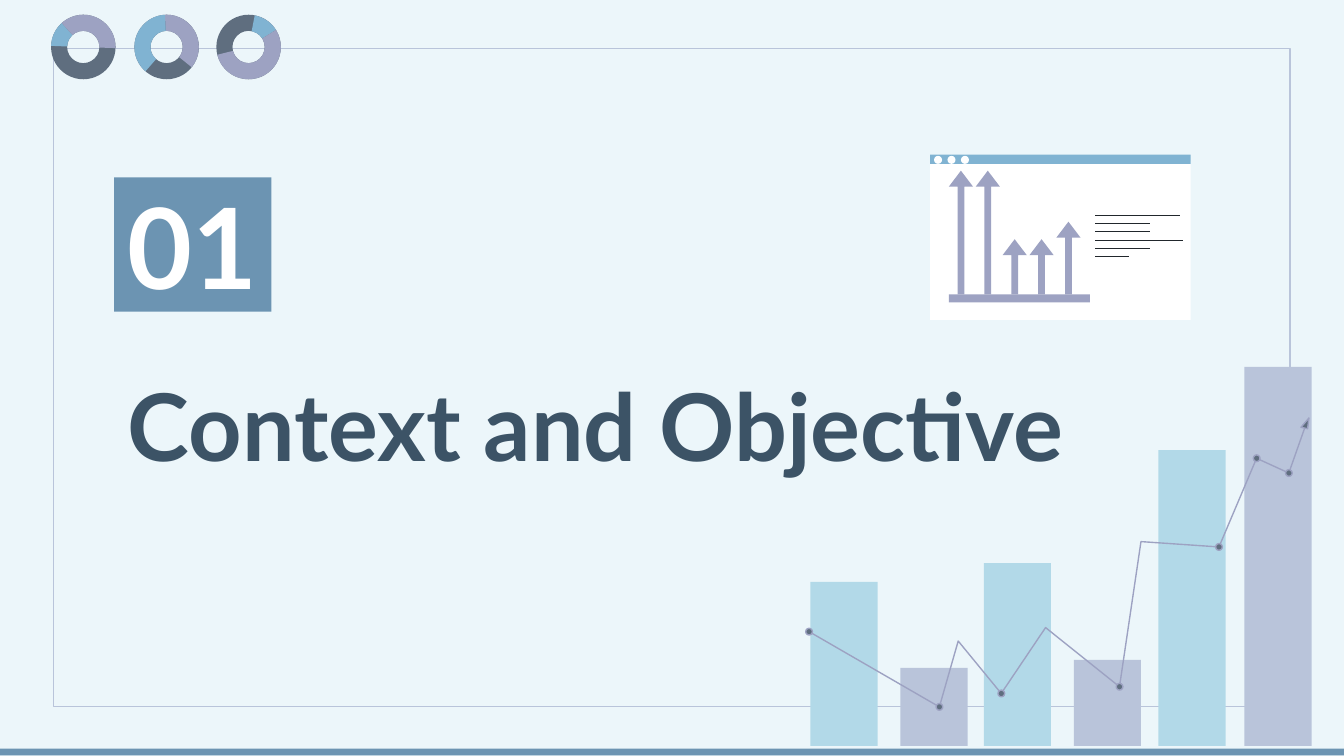
from typing import NamedTuple

import pptx
import pptx.dml.color
import pptx.enum.shapes
import pptx.enum.text
import pptx.oxml
import pptx.oxml.ns
import pptx.util

Inches = pptx.util.Inches
Pt = pptx.util.Pt
Shape = pptx.enum.shapes.MSO_SHAPE

FONT = "Lato"
PALE, WHITE, INK = "ECF6FA", "FFFFFF", "21272C"
STEEL, NAVY, SLATE = "6C94B2", "3C5366", "5F6E7F"
SKY, AQUA, LILAC, MAUVE = "80B3D2", "B2D9E8", "B9C4DA", "9DA2C2"


class Sector(NamedTuple):
    start: float  # degrees clockwise from three o'clock
    end: float
    color: str


class Ring(NamedTuple):
    left: float
    sectors: tuple[Sector, ...]


class Bar(NamedTuple):
    left: float
    top: float
    color: str


RINGS = [
    Ring(0.38, (Sector(182, 228, SKY), Sector(228, 2, MAUVE))),
    Ring(1.00, (Sector(267, 39, MAUVE), Sector(131, 267, SKY))),
    Ring(1.61, (Sector(281, 328, SKY), Sector(328, 166, MAUVE))),
]
BARS = [
    Bar(6.03, 4.33, AQUA),
    Bar(6.70, 4.97, LILAC),
    Bar(7.32, 4.19, AQUA),
    Bar(7.99, 4.91, LILAC),
    Bar(8.62, 3.35, AQUA),
    Bar(9.26, 2.73, LILAC),
]
BAR_WIDTH, BAR_BASE = 0.5, 5.55
TREND = [(6.02, 4.7), (6.99, 5.26), (7.13, 4.77), (7.45, 5.16), (7.78, 4.67), (8.33, 5.11),
         (8.49, 4.03), (9.07, 4.07), (9.35, 3.41), (9.59, 3.52), (9.72, 3.15)]
MARKED = (0, 1, 3, 5, 7, 8, 9)
TREND_TIP = [(9.74, 3.11), (9.68, 3.18), (9.73, 3.19)]
ARROW_TOPS = [1.27, 1.27, 1.78, 1.78, 1.65]
ARROW_BASE = 2.19
RULE_WIDTHS = [0.63, 0.41, 0.41, 0.65, 0.41, 0.25]
RULES_TOP, RULES_BOTTOM = 1.6, 1.91


def rgb(color: str):
    return pptx.dml.color.RGBColor.from_string(color)


def paint(shape, fill: str | None, line: str | None = None) -> None:
    shape.shadow.inherit = False
    if fill:
        shape.fill.solid()
        shape.fill.fore_color.rgb = rgb(fill)
    else:
        shape.fill.background()
    if line:
        shape.line.color.rgb = rgb(line)
        shape.line.width = Pt(0.75)
    else:
        shape.line.fill.background()


def add_preset(slide, kind, left: float, top: float, width: float, height: float,
               fill: str | None, line: str | None = None):
    shape = slide.shapes.add_shape(kind, Inches(left), Inches(top), Inches(width), Inches(height))
    paint(shape, fill, line)
    return shape


def add_path(slide, points: list[tuple[float, float]], closed: bool,
             fill: str | None, line: str) -> None:
    corners = [(Inches(x), Inches(y)) for x, y in points]
    builder = slide.shapes.build_freeform(*corners[0])
    builder.add_line_segments(corners[1:], close=closed)
    paint(builder.convert_to_shape(), fill, line)


def add_rule(slide, left: float, top: float, width: float) -> None:
    rule = slide.shapes.add_connector(
        pptx.enum.shapes.MSO_CONNECTOR.STRAIGHT,
        Inches(left), Inches(top), Inches(left + width), Inches(top))
    rule.line.color.rgb = rgb(INK)
    rule.line.width = Pt(0.5)
    properties = rule._element.spPr
    properties.append(pptx.oxml.parse_xml(f"<a:effectLst {pptx.oxml.ns.nsdecls('a')}/>"))


def set_text(shape, text: str, size: float, color: str, align, anchor, wrap: bool) -> None:
    frame = shape.text_frame
    frame.text = text
    frame.word_wrap = wrap
    frame.auto_size = pptx.enum.text.MSO_AUTO_SIZE.NONE
    frame.vertical_anchor = anchor
    frame.margin_left = frame.margin_right = Inches(0.1)
    frame.margin_top = frame.margin_bottom = Inches(0.1)
    paragraph = frame.paragraphs[0]
    paragraph.alignment = align
    font = paragraph.runs[0].font
    font.name, font.size, font.bold = FONT, Pt(size), True
    font.color.rgb = rgb(color)


def add_ring(slide, ring: Ring) -> None:
    box = (ring.left, 0.11, 0.48, 0.48)
    add_preset(slide, Shape.DONUT, *box, SLATE).adjustments[0] = 0.25
    for sector in ring.sectors:
        arc = add_preset(slide, Shape.BLOCK_ARC, *box, sector.color)
        # Angles are stored in 1/60000 degree, adjustments in 1/100000.
        arc.adjustments[0] = sector.start * 0.6
        arc.adjustments[1] = sector.end * 0.6
        arc.adjustments[2] = 0.25


def add_trend_chart(slide) -> None:
    for bar in BARS:
        add_preset(slide, Shape.RECTANGLE, bar.left, bar.top, BAR_WIDTH, BAR_BASE - bar.top, bar.color)
    add_path(slide, TREND, False, None, MAUVE)
    for index in MARKED:
        x, y = TREND[index]
        add_preset(slide, Shape.OVAL, x - 0.025, y - 0.025, 0.05, 0.05, SLATE, MAUVE)
    add_path(slide, TREND_TIP, True, SLATE, MAUVE)


def add_browser_window(slide) -> None:
    add_preset(slide, Shape.RECTANGLE, 6.92, 1.2, 1.94, 1.18, WHITE)
    add_preset(slide, Shape.RECTANGLE, 6.92, 1.15, 1.94, 0.07, SKY)
    for column in range(3):
        add_preset(slide, Shape.OVAL, 6.95 + 0.1 * column, 1.16, 0.06, 0.06, WHITE)
    for column, top in enumerate(ARROW_TOPS):
        arrow = add_preset(slide, Shape.UP_ARROW, 7.06 + 0.2 * column, top,
                           0.18, ARROW_BASE - top, MAUVE)
        arrow.adjustments[0] = 0.28
        arrow.adjustments[1] = 0.66
    add_preset(slide, Shape.RECTANGLE, 7.06, ARROW_BASE, 1.05, 0.06, MAUVE)
    pitch = (RULES_BOTTOM - RULES_TOP) / (len(RULE_WIDTHS) - 1)
    for row, width in enumerate(RULE_WIDTHS):
        add_rule(slide, 8.15, RULES_TOP + pitch * row, width)


def main() -> None:
    deck = pptx.Presentation()
    deck.slide_width = Inches(10)
    deck.slide_height = Inches(10 * 9 / 16)
    slide = deck.slides.add_slide(deck.slide_layouts[5])
    slide.background.fill.solid()
    slide.background.fill.fore_color.rgb = rgb(PALE)

    add_preset(slide, Shape.RECTANGLE, 0, 5.57, 10, 0.05, STEEL)
    add_preset(slide, Shape.RECTANGLE, 0.4, 0.36, 9.2, 4.9, None, LILAC)
    for ring in RINGS:
        add_ring(slide, ring)

    title = slide.shapes.title
    title.left, title.top = Inches(0.85), Inches(2.44)
    title.width, title.height = Inches(8.11), Inches(1.23)
    align, anchor = pptx.enum.text.PP_ALIGN, pptx.enum.text.MSO_ANCHOR
    set_text(title, "Context and Objective", 50, NAVY, align.LEFT, anchor.BOTTOM, True)
    section_number = add_preset(slide, Shape.RECTANGLE, 0.85, 1.32, 1.17, 1, STEEL)
    set_text(section_number, "01", 60, WHITE, align.CENTER, anchor.MIDDLE, False)

    add_trend_chart(slide)
    add_browser_window(slide)
    deck.save("out.pptx")


if __name__ == "__main__":
    main()
